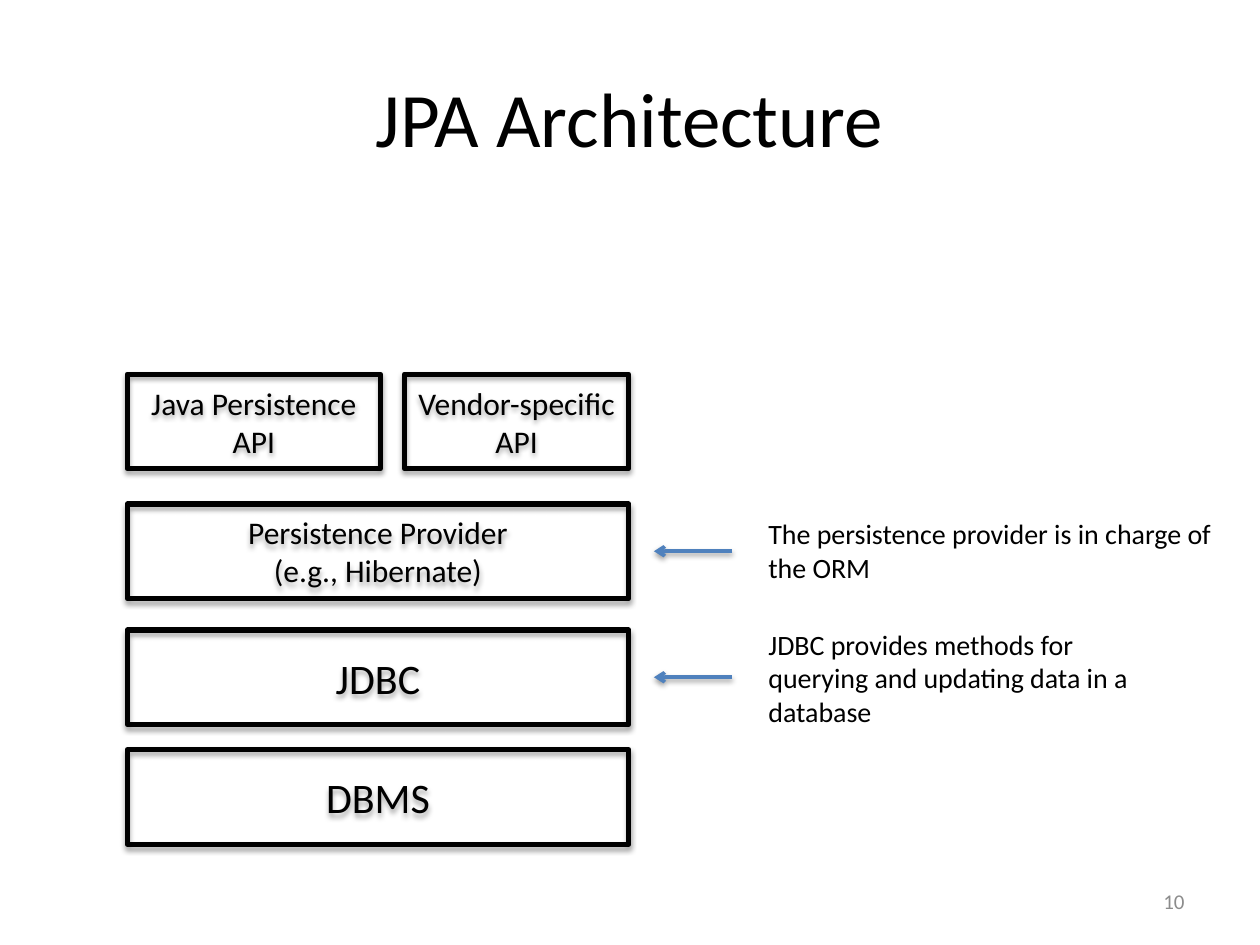
from pptx import Presentation
from pptx.dml.color import RGBColor
from pptx.enum.shapes import MSO_CONNECTOR as Connector, MSO_SHAPE as Shape
from pptx.enum.text import MSO_ANCHOR as Anchor, MSO_AUTO_SIZE as AutoSize, PP_ALIGN as Align
from pptx.oxml import parse_xml
from pptx.oxml.ns import nsdecls, qn
from pptx.util import Inches, Pt


def color(hex_string):
    return RGBColor.from_string(hex_string)


class Deck:
    """Style and current slide; lengths are in cells of a 40 x 30 grid."""
    FONT, INK, ACCENT, MUTED = "Calibri", "000000", "4F81BD", "8C8C8C"
    COLUMNS, ROWS = 40, 30

    def __init__(self, width, height):
        self.presentation = Presentation()
        self.presentation.slide_width = Inches(width)
        self.presentation.slide_height = Inches(height)
        self.cell_width = self.presentation.slide_width / self.COLUMNS
        self.cell_height = self.presentation.slide_height / self.ROWS
        self.slide = self.presentation.slides.add_slide(self.presentation.slide_layouts[6])

    def place(self, column, row, columns, rows):
        return (round(column * self.cell_width), round(row * self.cell_height),
                round(columns * self.cell_width), round(rows * self.cell_height))

    def set_text(self, shape, text, size, align, anchor, ink):
        frame = shape.text_frame
        frame.word_wrap = True
        frame.vertical_anchor = anchor
        paragraph = frame.paragraphs[0]
        paragraph.text = text
        paragraph.alignment = align
        for run in paragraph.runs:
            run.font.name, run.font.size = self.FONT, Pt(size)
            run.font.color.rgb = color(ink)

    def shadow(self, shape, opacity, distance):
        properties = shape._element.spPr
        for old in properties.findall(qn("a:effectLst")):
            properties.remove(old)
        properties.append(parse_xml(
            f'<a:effectLst {nsdecls("a")}><a:outerShdw blurRad="{Pt(3.1)}" dist="{Pt(distance)}" '
            f'dir="5400000" rotWithShape="0"><a:srgbClr val="{self.INK}">'
            f'<a:alpha val="{opacity * 1000}"/></a:srgbClr></a:outerShdw></a:effectLst>'))

    def text(self, text, area, size, align=Align.LEFT, anchor=Anchor.MIDDLE, ink=INK, grow=False):
        shape = self.slide.shapes.add_textbox(*self.place(*area))
        self.set_text(shape, text, size, align, anchor, ink)
        shape.text_frame.auto_size = AutoSize.SHAPE_TO_FIT_TEXT if grow else AutoSize.NONE

    def box(self, text, area, size):
        shape = self.slide.shapes.add_shape(Shape.RECTANGLE, *self.place(*area))
        shape.fill.background()
        shape.line.color.rgb, shape.line.width = color(self.INK), Pt(3)
        self.shadow(shape, 35, 1.8)
        self.set_text(shape, text, size, Align.CENTER, Anchor.MIDDLE, self.INK)

    def arrow(self, start, end, row):
        x1, y, x2, _ = self.place(start, row, end, 0)
        line = self.slide.shapes.add_connector(Connector.STRAIGHT, x1, y, x2, y)
        line.line.color.rgb, line.line.width = color(self.ACCENT), Pt(2)
        line.line._get_or_add_ln().append(
            parse_xml(f'<a:tailEnd {nsdecls("a")} type="arrow"/>'))
        self.shadow(line, 38, 1.6)


def main():
    deck = Deck(10, 7.5)
    deck.text("JPA Architecture", (2, 1.2, 36, 5), 44, Align.CENTER)

    # Layers of the stack, from the interfaces down to the database
    left, width, height = 4.04, 15.92, 3
    provider_row, jdbc_row = 16, 20
    layers = [
        ("Java Persistence API", left, 11.88, 8.04, 18),
        ("Vendor-specific API", 12.84, 11.88, 7.12, 18),
        ("Persistence Provider\v(e.g., Hibernate)", left, provider_row, width, 18),
        ("JDBC", left, jdbc_row, width, 24),
        ("DBMS", left, 23.8, width, 24),
    ]
    for text, column, row, columns, size in layers:
        deck.box(text, (column, row, columns, height), size)

    # Notes, each with an arrow to the middle of its layer
    notes = [
        ("The persistence provider is in charge of the ORM",
         provider_row, (24, 16.2, 14.88, 2.56)),
        ("JDBC provides methods for querying and updating data in a database",
         jdbc_row, (24, 19.72, 12.2, 3.64)),
    ]
    for text, row, area in notes:
        deck.arrow(23.24, 20.76, row + height / 2)
        deck.text(text, area, 16, anchor=Anchor.TOP, grow=True)

    # Slide number
    deck.text("10", (28.68, 27.8, 9.32, 1.6), 12, Align.RIGHT, ink=deck.MUTED)
    deck.presentation.save("out.pptx")


if __name__ == "__main__":
    main()
